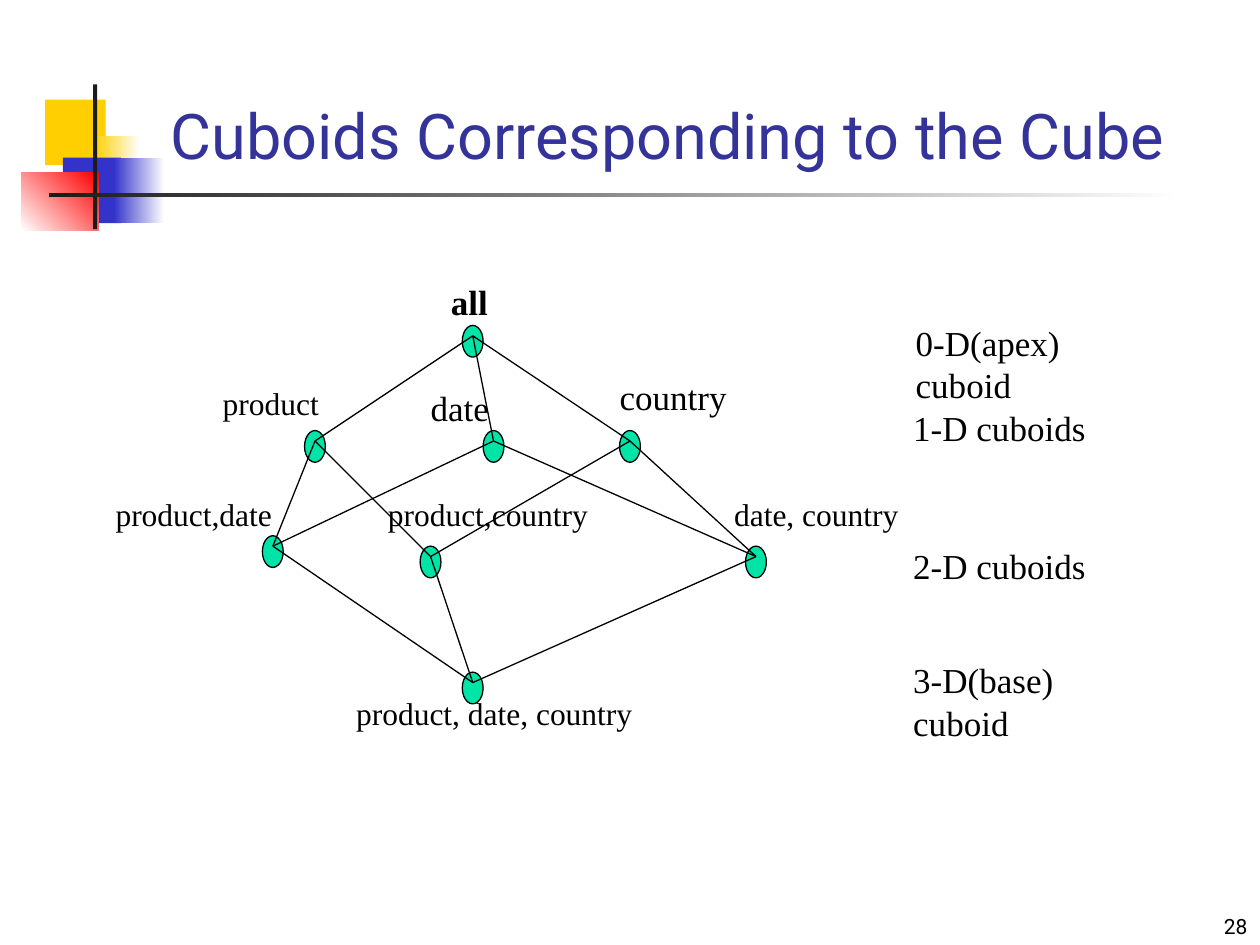
from dataclasses import dataclass

import pptx
import pptx.dml.color
import pptx.enum.shapes
import pptx.enum.text
import pptx.oxml
import pptx.util
from pptx.util import Cm

SHAPES = pptx.enum.shapes.MSO_SHAPE
ANCHOR = pptx.enum.text.MSO_ANCHOR
ALIGN = pptx.enum.text.PP_ALIGN
AUTO_SIZE = pptx.enum.text.MSO_AUTO_SIZE


@dataclass(frozen=True)
class Theme:
    ink: str = "000000"
    title: str = "333399"
    node: str = "00E4A8"
    yellow: str = "FFCF01"
    blue: str = "3333CC"
    red: str = "FF0000"
    bar: str = "1C1C1C"
    paper: str = "FFFFFF"
    heading_font: str = "Roboto"
    label_font: str = "Times New Roman"
    title_size: int = 36
    large: int = 20
    medium: int = 18
    small: int = 12
    hairline: float = 0.75


THEME = Theme()

# left, top, width, height in cm; start colour, end colour, gradient angle
ORNAMENT = [
    (0.91, 2.01, 1.22, 1.32, THEME.yellow, None, 0),
    (1.91, 2.74, 0.91, 1.32, THEME.yellow, THEME.paper, 0),
    (1.27, 3.18, 1.17, 1.32, THEME.blue, None, 0),
    (2.29, 3.18, 1.02, 1.32, THEME.blue, THEME.paper, 0),
    (0.43, 3.48, 1.55, 1.17, THEME.paper, THEME.red, 45),
    (1.88, 1.7, 0.08, 2.92, THEME.bar, None, 0),
    (0.99, 3.89, 22.86, 0.08, THEME.bar, THEME.paper, 0),
]

# Dimensions of each cuboid -> point where its edges meet, in cm
CUBOIDS = {
    (): (9.53, 6.77),
    ("product",): (6.35, 8.89),
    ("date",): (9.95, 8.89),
    ("country",): (12.7, 8.89),
    ("product", "date"): (5.5, 11.01),
    ("product", "country"): (8.68, 11.22),
    ("date", "country"): (15.24, 11.22),
    ("product", "date", "country"): (9.53, 13.76),
}
NODE_WIDTH, NODE_HEIGHT, EDGE_DEPTH = 0.42, 0.64, 0.21

# text, left, top, width in cm, size
CUBOID_LABELS = [
    ("product", 4.24, 7.62, 2.46, THEME.medium),
    ("date", 8.43, 7.67, 1.68, THEME.large),
    ("country", 12.24, 7.44, 2.67, THEME.large),
    ("product,date", 2.08, 9.86, 3.66, THEME.medium),
    ("product,country", 7.57, 9.86, 4.55, THEME.medium),
    ("date, country", 14.55, 9.86, 3.84, THEME.medium),
    ("product, date, country", 6.93, 13.87, 6.1, THEME.medium),
]

# text, left, top, width in cm, whether it breaks over two lines
LEVEL_LABELS = [
    ("0-D(apex) cuboid", 18.21, 6.35, 5.51, True),
    ("1-D cuboids", 18.16, 8.08, 3.99, False),
    ("2-D cuboids", 18.16, 10.85, 3.99, False),
    ("3-D(base) cuboid", 18.16, 13.16, 5.44, True),
]


def rgb(value):
    return pptx.dml.color.RGBColor.from_string(value)


def write(frame, text, font, size, color, bold=False, align=ALIGN.LEFT):
    paragraph = frame.paragraphs[0]
    paragraph.alignment = align
    run = paragraph.add_run()
    run.text = text
    run.font.name = font
    run.font.size = pptx.util.Pt(size)
    run.font.bold = bold
    run.font.color.rgb = rgb(color)


def add_ornament(slide, left, top, width, height, start, end, angle):
    block = slide.shapes.add_shape(
        SHAPES.RECTANGLE, Cm(left), Cm(top), Cm(width), Cm(height))
    block.shadow.inherit = False
    block.line.fill.background()
    if end is None:
        block.fill.solid()
        block.fill.fore_color.rgb = rgb(start)
        return
    block.fill.gradient()
    block.fill.gradient_angle = angle
    for stop, color in zip(block.fill.gradient_stops, (start, end)):
        stop.color.rgb = rgb(color)


def add_title(slide, text):
    title = slide.shapes.title
    title.left, title.top = Cm(3.18), Cm(1.9)
    title.width, title.height = Cm(21.64), Cm(1.7)
    frame = title.text_frame
    frame.auto_size = AUTO_SIZE.NONE
    frame.vertical_anchor = ANCHOR.BOTTOM
    write(frame, text, THEME.heading_font, THEME.title_size, THEME.title)


def add_page_number(slide, number):
    box = slide.shapes.add_textbox(Cm(20.12), Cm(17.78), Cm(5.28), Cm(1.27))
    frame = box.text_frame
    frame.word_wrap = True
    frame.vertical_anchor = ANCHOR.BOTTOM
    write(frame, number, THEME.heading_font, THEME.small, THEME.ink,
          align=ALIGN.RIGHT)


def add_node(slide, x, y):
    node = slide.shapes.add_shape(
        SHAPES.FLOWCHART_CONNECTOR, Cm(x - NODE_WIDTH / 2),
        Cm(y - EDGE_DEPTH), Cm(NODE_WIDTH), Cm(NODE_HEIGHT))
    node.shadow.inherit = False
    node.fill.solid()
    node.fill.fore_color.rgb = rgb(THEME.node)
    node.line.color.rgb = rgb(THEME.ink)
    node.line.width = pptx.util.Pt(THEME.hairline)


def add_edge(slide, start, end):
    edge = slide.shapes.add_connector(
        pptx.enum.shapes.MSO_CONNECTOR.STRAIGHT,
        *(Cm(value) for value in start + end))
    edge.line.color.rgb = rgb(THEME.ink)
    edge.line.width = pptx.util.Pt(THEME.hairline)
    properties = edge._element.spPr
    properties.append(pptx.oxml.parse_xml(
        '<a:effectLst xmlns:a='
        '"http://schemas.openxmlformats.org/drawingml/2006/main"/>'))


def add_label(slide, text, left, top, width, size, bold=False, breaks=False):
    height = 1.09 if size == THEME.large else 1.02
    box = slide.shapes.add_textbox(Cm(left), Cm(top), Cm(width), Cm(height))
    frame = box.text_frame
    frame.word_wrap = breaks
    if breaks:
        frame.margin_right = Cm(1)
    else:
        frame.auto_size = AUTO_SIZE.SHAPE_TO_FIT_TEXT
    write(frame, text, THEME.label_font, size, THEME.ink, bold)


def add_lattice(slide):
    """Join each cuboid to those that add exactly one dimension to it."""
    for x, y in CUBOIDS.values():
        add_node(slide, x, y)
    for upper, start in CUBOIDS.items():
        for lower, end in CUBOIDS.items():
            if len(lower) == len(upper) + 1 and set(upper) < set(lower):
                add_edge(slide, start, end)


def main():
    deck = pptx.Presentation()
    deck.slide_width, deck.slide_height = Cm(25.4), Cm(19.05)
    slide = deck.slides.add_slide(deck.slide_layouts[5])
    for block in ORNAMENT:
        add_ornament(slide, *block)
    add_page_number(slide, "28")
    add_title(slide, "Cuboids Corresponding to the Cube")
    add_lattice(slide)
    add_label(slide, "all", 8.84, 5.54, 1.35, THEME.large, bold=True)
    for label in CUBOID_LABELS:
        add_label(slide, *label)
    for text, left, top, width, breaks in LEVEL_LABELS:
        add_label(slide, text, left, top, width, THEME.large, breaks=breaks)
    deck.save("out.pptx")


if __name__ == "__main__":
    main()
